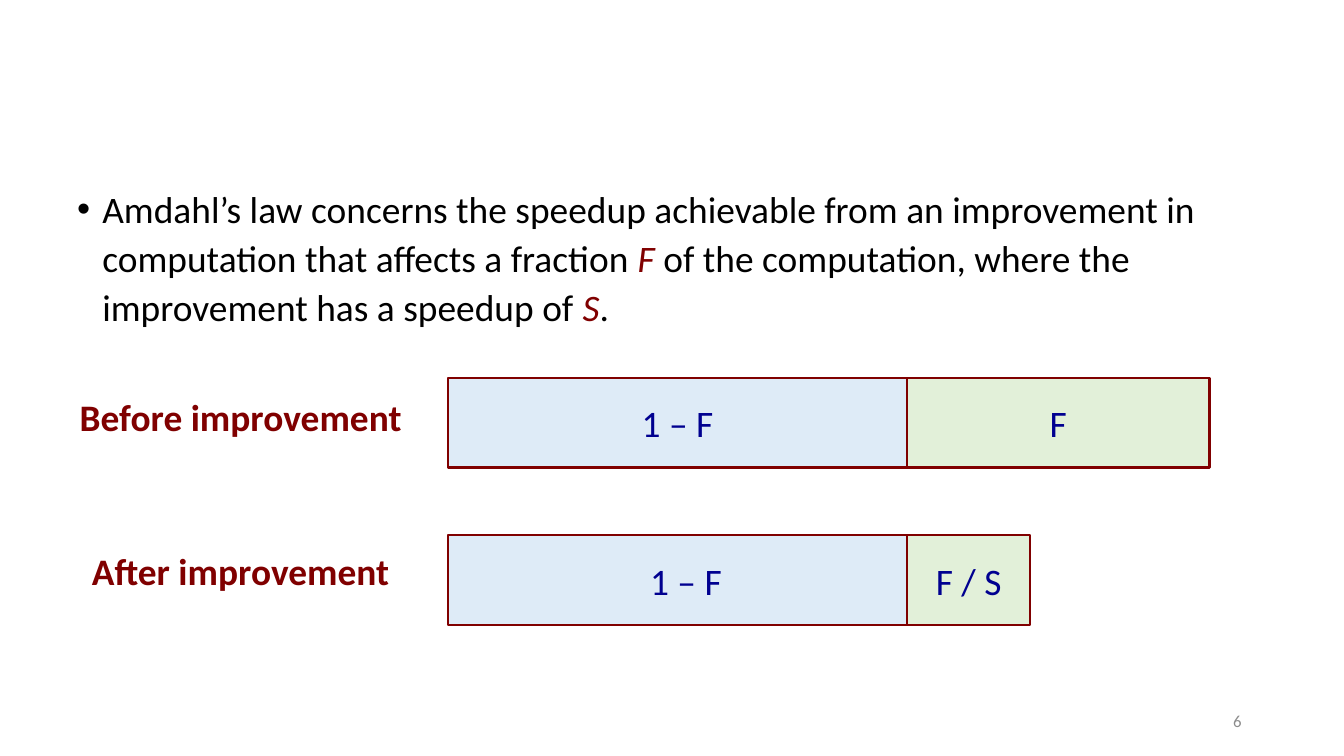
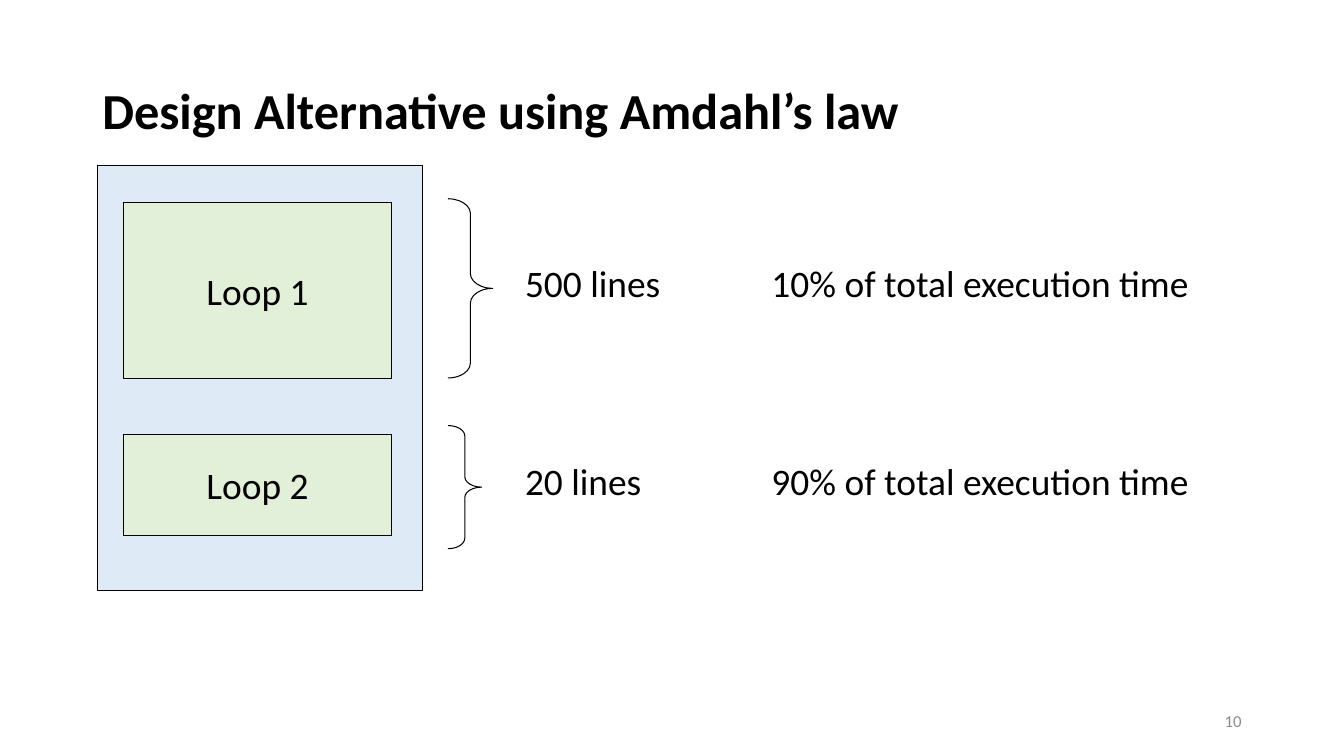
from dataclasses import dataclass
from typing import NamedTuple

from lxml import etree
from pptx import Presentation
from pptx.dml.color import RGBColor
from pptx.enum.shapes import MSO_SHAPE as Shape
from pptx.enum.text import MSO_ANCHOR as Anchor, PP_ALIGN as Align
from pptx.oxml.ns import qn
from pptx.util import Inches, Pt

COLS = 120
SLIDE_W, SLIDE_H = Inches(40 / 3), Inches(7.5)
UNIT = SLIDE_W / COLS


@dataclass(frozen=True)
class Theme:
    font: str = "Calibri"
    black: str = "000000"
    grey: str = "8C8C8C"
    maroon: str = "800000"
    navy: str = "000090"
    blue: str = "DEEBF7"
    green: str = "E2F0D9"
    title: float = 36
    body: float = 26.7
    number: float = 12
    thin: float = 0.75
    thick: float = 1.5


class Box(NamedTuple):
    col: float
    row: float
    cols: float
    rows: float

    def emu(self) -> list[int]:
        return [round(v * UNIT) for v in self]


class Run(NamedTuple):
    text: str
    color: str
    italic: bool = False


class Bar(NamedTuple):
    label: str
    label_row: float
    row: float
    fixed_cols: float
    improved: str
    improved_cols: float


class Loop(NamedTuple):
    name: str
    row: float
    rows: float
    brace: Box
    bend: float
    text_row: float
    lines: str
    share: str


T = Theme()
TITLE = Box(8.25, 3.6, 103.5, 13.05)
NUMBER = Box(84.75, 62.55, 27, 3.6)
BODY = Box(6, 15.75, 108, 16)
PROGRAM = Box(8.75, 14.75, 29, 38)
LABEL_COL, LABEL_COLS = 5, 33
BAR_COL, SPLIT_COL, BAR_ROWS = 40, 81, 8
LOOP_COL, LOOP_COLS = 11, 24
LINES_COL, LINES_COLS = 46, 20
SHARE_COL, SHARE_COLS = 68, 47
TEXT_ROWS = 5

BARS = [
    Bar("Before improvement", 34.75, 33.75, 41, "F", 27),
    Bar("After improvement", 48.5, 47.8, 42.5, "F / S", 11),
]
LOOPS = [
    Loop("Loop 1", 18.1, 15.7, Box(40, 17.75, 4, 16), 0.33, 22.75,
         "500 lines", "10% of total execution time"),
    Loop("Loop 2", 38.8, 9, Box(40, 38, 3, 11), 0.31, 40.5,
         "20 lines", "90% of total execution time"),
]
LAW = [
    Run("Amdahl’s law concerns the speedup achievable from an improvement in "
        "computation that affects a fraction ", T.black),
    Run("F", T.maroon, True),
    Run(" of the computation, where the improvement has a speedup of ", T.black),
    Run("S", T.maroon, True),
    Run(".", T.black),
]


def write(sp, text: str | list[Run], *, size: float = T.body, color: str = T.black,
          bold: bool = False, align=Align.LEFT, anchor=Anchor.TOP,
          spacing: float | None = None, bullet: bool = False) -> None:
    tf = sp.text_frame
    tf.word_wrap = True
    tf.vertical_anchor = anchor
    p = tf.paragraphs[0]
    if bullet:
        pPr = p._p.get_or_add_pPr()
        pPr.set("marL", str(Inches(0.25)))
        pPr.set("indent", str(-Inches(0.25)))
        etree.SubElement(pPr, qn("a:buFont")).set("typeface", "Arial")
        etree.SubElement(pPr, qn("a:buChar")).set("char", "•")
    p.alignment = align
    if spacing:
        p.line_spacing = spacing
    for item in [Run(text, color)] if isinstance(text, str) else text:
        r = p.add_run()
        r.text = item.text
        r.font.name = T.font
        r.font.size = Pt(size)
        r.font.bold = bold
        r.font.italic = item.italic
        r.font.color.rgb = RGBColor.from_string(item.color)


def add_text(s, box: Box, text: str | list[Run], **style) -> None:
    write(s.shapes.add_textbox(*box.emu()), text, **style)


def add_block(s, box: Box, fill: str | None = None, text: str = "", *,
              kind=Shape.RECTANGLE, line: str = T.black, width: float = T.thin,
              color: str = T.black):
    sp = s.shapes.add_shape(kind, *box.emu())
    sp.shadow.inherit = False
    if fill:
        sp.fill.solid()
        sp.fill.fore_color.rgb = RGBColor.from_string(fill)
    else:
        sp.fill.background()
    sp.line.color.rgb = RGBColor.from_string(line)
    sp.line.width = Pt(width)
    if text:
        write(sp, text, color=color, align=Align.CENTER, anchor=Anchor.MIDDLE)
    return sp


def add_slide(prs, number: int, title: str = ""):
    s = prs.slides.add_slide(prs.slide_layouts[6])
    if title:
        add_text(s, TITLE, title, size=T.title, bold=True, anchor=Anchor.MIDDLE,
                 spacing=0.9)
    add_text(s, NUMBER, str(number), size=T.number, color=T.grey, align=Align.RIGHT,
             anchor=Anchor.MIDDLE)
    return s


def add_bar(s, bar: Bar) -> None:
    style = dict(line=T.maroon, width=T.thick, color=T.navy)
    add_block(s, Box(BAR_COL, bar.row, bar.fixed_cols, BAR_ROWS), T.blue, "1 – F", **style)
    add_block(s, Box(SPLIT_COL, bar.row, bar.improved_cols, BAR_ROWS), T.green,
              bar.improved, **style)
    add_text(s, Box(LABEL_COL, bar.label_row, LABEL_COLS, TEXT_ROWS), bar.label,
             color=T.maroon, bold=True, align=Align.CENTER)


def add_loop(s, loop: Loop) -> None:
    add_block(s, Box(LOOP_COL, loop.row, LOOP_COLS, loop.rows), T.green, loop.name)
    brace = add_block(s, loop.brace, kind=Shape.RIGHT_BRACE)
    brace.adjustments[0] = loop.bend
    add_text(s, Box(LINES_COL, loop.text_row, LINES_COLS, TEXT_ROWS), loop.lines)
    add_text(s, Box(SHARE_COL, loop.text_row, SHARE_COLS, TEXT_ROWS), loop.share)


def main() -> None:
    prs = Presentation()
    prs.slide_width, prs.slide_height = SLIDE_W, SLIDE_H

    s = add_slide(prs, 6)
    add_text(s, BODY, LAW, spacing=1.1, bullet=True)
    for bar in BARS:
        add_bar(s, bar)

    s = add_slide(prs, 10, "Design Alternative using Amdahl’s law")
    add_block(s, PROGRAM, T.blue)
    for loop in LOOPS:
        add_loop(s, loop)

    prs.save("out.pptx")


if __name__ == "__main__":
    main()
